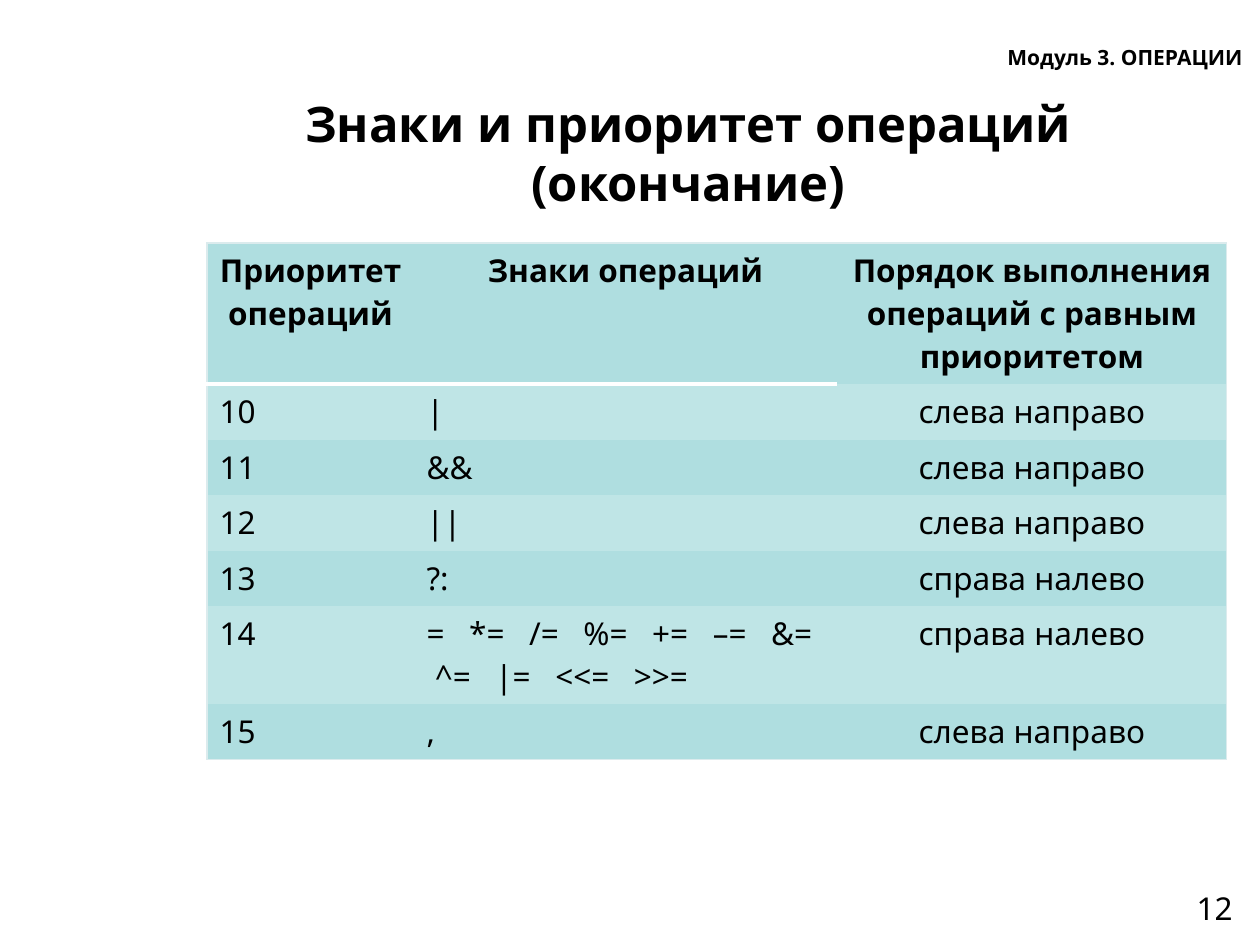
from lxml import etree
from pptx import Presentation
from pptx import util as u
from pptx.dml.color import RGBColor
from pptx.enum import text
from pptx.oxml import ns

PX_PER_INCH = 126
FONT = "Noto Sans"
BLACK, WHITE, EDGE = "000000", "FFFFFF", "DBEBED"
DARK_ROW, LIGHT_ROW = "AFDEE0", "BFE5E6"
NO_STYLE = "{2D5ABB26-0587-4C30-8999-92F81FD0307C}"
LEFT, CENTER, RIGHT = text.PP_ALIGN.LEFT, text.PP_ALIGN.CENTER, text.PP_ALIGN.RIGHT

HEADER = ("Приоритет операций", "Знаки операций",
          "Порядок выполнения операций с равным приоритетом")
FORWARD, BACKWARD = "слева направо", "справа налево"
OPERATIONS = (
    ("10", "|", FORWARD),
    ("11", "&&", FORWARD),
    ("12", "||", FORWARD),
    ("13", "?:", BACKWARD),
    ("14", "=   *=   /=   %=   +=   –=   &=   ^=   |=   <<=   >>=", BACKWARD),
    ("15", ",", FORWARD),
)
COLUMN_WIDTHS = (207, 423, 390)
ROW_HEIGHTS = (141, 56, 55, 56, 55, 98, 56)


def px(value):
    return u.Emu(round(value * 914400 / PX_PER_INCH))


def color(hex_value):
    return RGBColor.from_string(hex_value)


def write(text_frame, words, size, bold=False, align=LEFT):
    paragraph = text_frame.paragraphs[0]
    paragraph.alignment = align
    run = paragraph.add_run()
    run.text = words
    run.font.name = FONT
    run.font.size = u.Pt(size)
    run.font.bold = bold
    run.font.color.rgb = color(BLACK)


def add_title(slide, box, words):
    title = slide.shapes.title
    title.left, title.top, title.width, title.height = map(px, box)
    frame = title.text_frame
    frame.word_wrap = True
    frame.auto_size = text.MSO_AUTO_SIZE.NONE
    frame.vertical_anchor = text.MSO_ANCHOR.MIDDLE
    write(frame, words, 28, bold=True, align=CENTER)


def add_label(slide, box, words, size, bold=False, align=LEFT, wrap=True):
    frame = slide.shapes.add_textbox(*map(px, box)).text_frame
    frame.word_wrap = wrap
    write(frame, words, size, bold, align)


def add_border(cell, side, hex_value, points):
    """Draw one cell edge; side is L, R, T or B. Call before filling the cell."""
    properties = cell._tc.get_or_add_tcPr()
    line = etree.SubElement(properties, ns.qn(f"a:ln{side}"), w=str(u.Pt(points)))
    fill = etree.SubElement(line, ns.qn("a:solidFill"))
    etree.SubElement(fill, ns.qn("a:srgbClr"), val=hex_value)


def add_operations_table(slide, left, top):
    rows = (HEADER, *OPERATIONS)
    last_row, last_column = len(rows) - 1, len(HEADER) - 1
    box = (left, top, sum(COLUMN_WIDTHS), sum(ROW_HEIGHTS))
    table = slide.shapes.add_table(len(rows), len(HEADER), *map(px, box)).table
    table._tbl.tblPr.find(ns.qn("a:tableStyleId")).text = NO_STYLE
    for column, width in zip(table.columns, COLUMN_WIDTHS):
        column.width = px(width)

    for r, (row, height) in enumerate(zip(rows, ROW_HEIGHTS)):
        is_header = r == 0
        table.rows[r].height = px(height)
        for c, words in enumerate(row):
            cell = table.cell(r, c)
            is_centered = is_header or c == last_column
            write(cell.text_frame, words, 18, is_header, CENTER if is_centered else LEFT)
            outer_edges = (("L", c == 0), ("R", c == last_column),
                           ("T", is_header), ("B", r == last_row))
            for side, is_outer in outer_edges:
                if is_outer:
                    add_border(cell, side, EDGE, 0.75)
            if is_header and c < last_column:
                add_border(cell, "B", WHITE, 3)
            cell.fill.solid()
            cell.fill.fore_color.rgb = color(LIGHT_ROW if r % 2 else DARK_ROW)


def main():
    presentation = Presentation()
    presentation.slide_width, presentation.slide_height = px(1260), px(945)
    slide = presentation.slides.add_slide(presentation.slide_layouts[5])
    add_label(slide, (951, 883, 294, 66), "12", 18, align=RIGHT)
    add_title(slide, (168, 116, 1040, 73), "Знаки и приоритет операций (окончание)")
    add_operations_table(slide, 207, 243)
    add_label(slide, (995, 38, 263, 38), "Модуль 3. ОПЕРАЦИИ", 12, bold=True, wrap=False)
    presentation.save("out.pptx")


if __name__ == "__main__":
    main()
